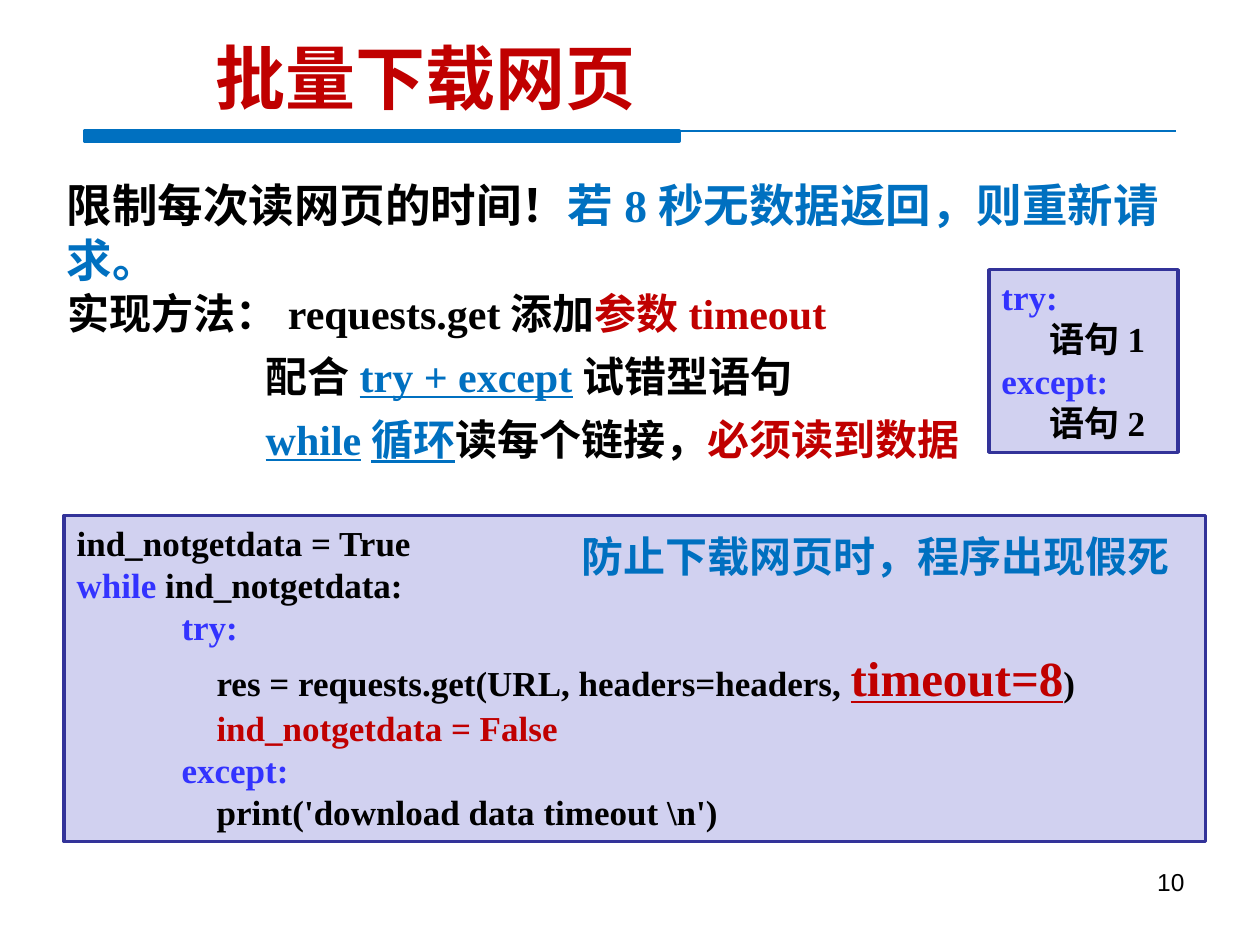
from dataclasses import dataclass
from typing import Optional

from lxml import etree
from pptx import Presentation
from pptx.dml.color import RGBColor
from pptx.enum.shapes import MSO_CONNECTOR, MSO_SHAPE
from pptx.enum.text import MSO_ANCHOR, MSO_AUTO_SIZE, PP_ALIGN
from pptx.oxml.ns import qn
from pptx.util import Inches, Pt

RECT = MSO_SHAPE.RECTANGLE
LINE = MSO_CONNECTOR.STRAIGHT
TOP, MIDDLE = MSO_ANCHOR.TOP, MSO_ANCHOR.MIDDLE
LEFT, RIGHT = PP_ALIGN.LEFT, PP_ALIGN.RIGHT
GROW, FIXED = MSO_AUTO_SIZE.SHAPE_TO_FIT_TEXT, MSO_AUTO_SIZE.NONE

BLACK = RGBColor(0x00, 0x00, 0x00)
RED = RGBColor(0xC0, 0x00, 0x00)
BLUE = RGBColor(0x00, 0x70, 0xC0)
KEY = RGBColor(0x33, 0x33, 0xFF)
EDGE = RGBColor(0x33, 0x33, 0x99)
PALE = RGBColor(0xD1, 0xD1, 0xF0)

SERIF, SANS, HAN = "Times New Roman", "Arial", "Noto Sans CJK SC"


@dataclass
class Run:
    text: str
    color: RGBColor = BLACK
    line: bool = False
    size: Optional[float] = None


@dataclass
class Para:
    runs: list[Run]
    indent: float = 0


@dataclass
class Box:
    """A text box, or a framed panel of code."""
    at: tuple[float, float, float, float]
    paras: list[Para]
    size: float
    font: str = SERIF
    bold: bool = True
    space: Optional[float] = None
    align: PP_ALIGN = LEFT
    panel: bool = False
    fit: MSO_AUTO_SIZE = GROW


def para(*runs: Run, indent: float = 0) -> Para:
    return Para(list(runs), indent)


def write(frame, paras: list[Para], *, size: float, font: str = SERIF,
          bold: bool = True, space: Optional[float] = None,
          align: PP_ALIGN = LEFT, anchor: MSO_ANCHOR = TOP,
          fit: MSO_AUTO_SIZE = GROW) -> None:
    frame.word_wrap = True
    frame.auto_size = fit
    frame.vertical_anchor = anchor
    for i, item in enumerate(paras):
        par = frame.paragraphs[0] if i == 0 else frame.add_paragraph()
        par.alignment = align
        if space:
            par.line_spacing = space
        if item.indent:
            props = par._p.get_or_add_pPr()
            props.set("marL", str(Inches(item.indent)))
            props.set("indent", "0")
        for part in item.runs:
            run = par.add_run()
            run.text = part.text
            run.font.size = Pt(part.size or size)
            run.font.name = font
            run.font.bold = bold
            run.font.underline = part.line
            run.font.color.rgb = part.color
            east = etree.SubElement(run._r.get_or_add_rPr(), qn("a:ea"))
            east.set("typeface", HAN)


def paint(shape, fill: RGBColor, edge: RGBColor) -> None:
    shape.shadow.inherit = False
    shape.fill.solid()
    shape.fill.fore_color.rgb = fill
    shape.line.color.rgb = edge
    shape.line.width = Pt(2)


def draw_box(slide, box: Box) -> None:
    area = [Inches(v) for v in box.at]
    if box.panel:
        shape = slide.shapes.add_shape(RECT, *area)
        paint(shape, PALE, EDGE)
    else:
        shape = slide.shapes.add_textbox(*area)
    write(shape.text_frame, box.paras, size=box.size, font=box.font,
          bold=box.bold, space=box.space, align=box.align, fit=box.fit)


def draw_title(slide, text: str) -> None:
    title = slide.shapes.title
    title.left, title.top = Inches(1.61), Inches(0.21)
    title.width, title.height = Inches(8.23), Inches(0.79)
    write(title.text_frame, [para(Run(text, RED))], size=40, font=HAN,
          anchor=MIDDLE, fit=FIXED)


def draw_rule(slide) -> None:
    """Thick bar and thin line under the title."""
    left, top = Inches(0.67), Inches(1.04)
    group = slide.shapes.add_group_shape()
    bar = group.shapes.add_shape(RECT, left, top, Inches(4.72), Inches(0.08))
    paint(bar, BLUE, BLUE)
    thin = group.shapes.add_connector(LINE, left, top, Inches(9.33), top)
    thin.line.color.rgb = BLUE
    thin.line.width = Pt(1.5)
    etree.SubElement(thin._element.spPr, qn("a:effectLst"))


STEP = 1.57
TAB, DEEP = " " * 12, " " * 16

BOXES = [
    Box((0.44, 2.13, 7.32, 2.29), [
        para(Run("实现方法：requests.get添加"), Run("参数timeout", RED)),
        para(Run("配合"), Run("try + except", BLUE, True),
             Run("试错型语句"), indent=STEP),
        para(Run("while循环", BLUE, True), Run("读每个链接，"),
             Run("必须读到数据", RED), indent=STEP),
    ], 24, space=1.25),
    Box((0.43, 1.36, 9.21, 0.54), [
        para(Run("限制每次读网页的时间！"),
             Run("若8秒无数据返回，则重新请求。", BLUE)),
    ], 26),
    Box((7.85, 2.14, 1.5, 1.45), [
        para(Run("try:", KEY)),
        para(Run("      语句1")),
        para(Run("except:", KEY)),
        para(Run("      语句2")),
    ], 20, panel=True),
    Box((0.51, 4.09, 9.06, 2.59), [
        para(Run("ind_notgetdata = True")),
        para(Run("while ", KEY), Run("ind_notgetdata:")),
        para(Run(TAB + "try:", KEY)),
        para(Run(DEEP + "res = requests.get(URL, headers=headers, "),
             Run("timeout=8", RED, True, 28), Run(")")),
        para(Run(DEEP + "ind_notgetdata = False", RED)),
        para(Run(TAB + "except:", KEY)),
        para(Run(DEEP + "print('download data timeout \\n')")),
    ], 20, panel=True),
    Box((4.52, 4.16, 4.98, 0.5),
        [para(Run("防止下载网页时，程序出现假死", BLUE))], 24, font=HAN),
    Box((7.17, 6.83, 2.33, 0.52), [para(Run("10"))], 14, font=SANS,
        bold=False, align=RIGHT, fit=FIXED),
]


def main() -> None:
    deck = Presentation()
    deck.slide_width, deck.slide_height = Inches(10), Inches(7.5)
    slide = deck.slides.add_slide(deck.slide_layouts[5])
    draw_title(slide, "批量下载网页")
    for box in BOXES:
        draw_box(slide, box)
    draw_rule(slide)
    deck.save("out.pptx")


if __name__ == "__main__":
    main()
